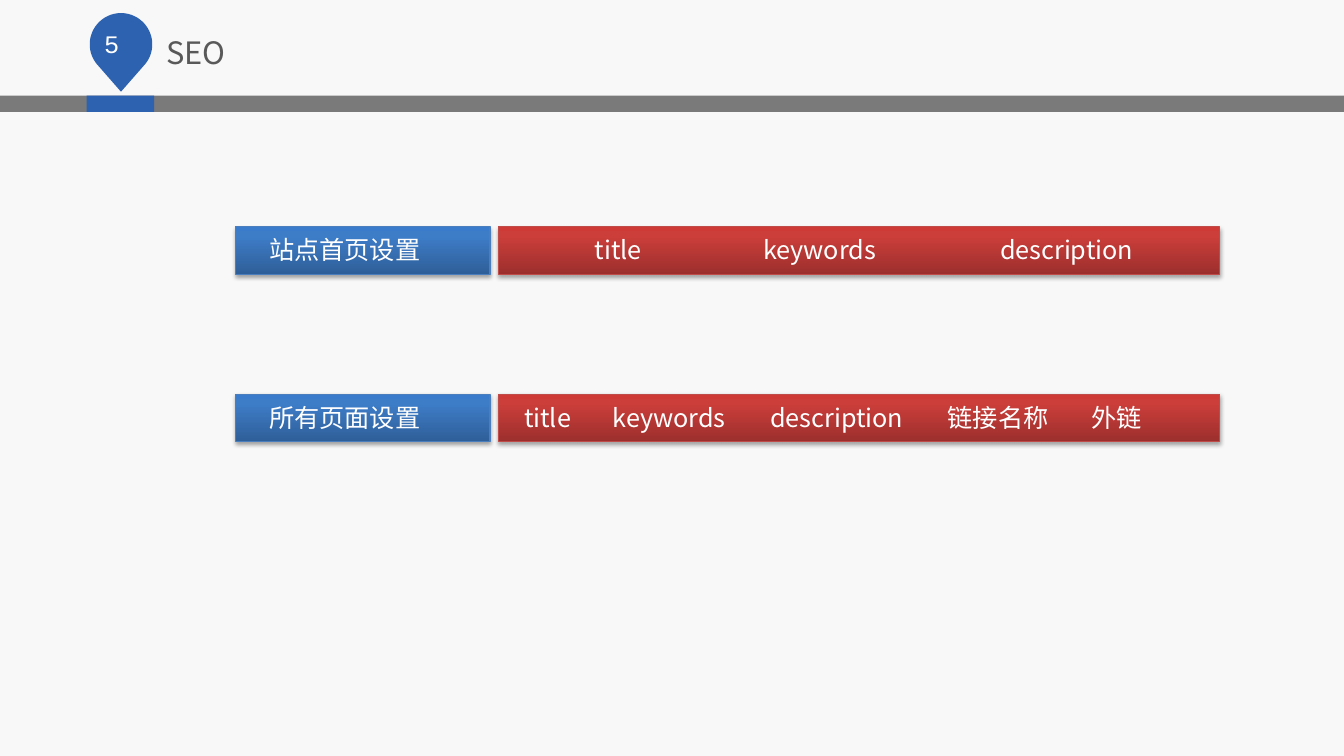
import math
from dataclasses import dataclass

from lxml import etree
from pptx import Presentation
from pptx.dml.color import RGBColor
from pptx.enum.shapes import MSO_SHAPE
from pptx.enum.text import MSO_AUTO_SIZE, PP_ALIGN
from pptx.oxml.ns import qn
from pptx.util import Inches, Pt

RECT = MSO_SHAPE.RECTANGLE
CENTER = PP_ALIGN.CENTER
FIT_SHAPE = MSO_AUTO_SIZE.SHAPE_TO_FIT_TEXT

# Content: each row has a top, a label and its settings as (text, left, width)
NUMBER = "5"
TITLE = "SEO"
ROWS = [
    (2.25, "站点首页设置",
     [("title", 5.8, 0.67), ("keywords", 7.47, 1.34), ("description", 9.82, 1.55)]),
    (3.91, "所有页面设置",
     [("title", 5.1, 0.67), ("keywords", 5.98, 1.34), ("description", 7.54, 1.55),
      ("链接名称", 9.3, 1.21), ("外链", 10.73, 0.71)]),
]


@dataclass(frozen=True)
class Theme:
    background: str = "F8F8F8"
    band: str = "7A7A7A"
    accent: str = "2D62B0"
    title: str = "595959"
    light: str = "FFFFFF"
    shadow: str = "000000"
    blue: tuple = ((0, "2F5F99"), (80, "3D7CC7"), (100, "3A7CCB"))
    blue_line: str = "4B7EBC"
    red: tuple = ((0, "9C2F2D"), (80, "CB3E3A"), (100, "CE3B37"))
    red_line: str = "BF4C48"
    font: str = "Noto Sans CJK SC"
    number_font: str = "Courier New"
    title_size: int = 22
    text_size: int = 18


THEME = Theme()
SLIDE_W, SLIDE_H = 13.33, 7.5
BAND_TOP, BAND_H = 0.95, 0.16
PIN_X, PIN_Y, PIN_R, PIN_TIP = 1.2, 0.44, 0.31, 0.91
LABEL_BAR, SETTINGS_BAR, BAR_H = (2.34, 2.52), (4.94, 7.16), 0.47
LABEL_TEXT = (2.57, 1.72)
TEXT_H = 0.4


def paint(shape, color):
    shape.shadow.inherit = False
    shape.fill.solid()
    shape.fill.fore_color.rgb = RGBColor.from_string(color)
    shape.line.fill.background()


def add_text(shapes, text, box, color, size, font=THEME.font, wrap=False):
    textbox = shapes.add_textbox(*map(Inches, box))
    frame = textbox.text_frame
    frame.text = text
    frame.word_wrap = wrap
    run = frame.paragraphs[0].runs[0]
    run.font.size = Pt(size)
    run.font.name = font
    run.font.color.rgb = RGBColor.from_string(color)
    east_asian = etree.SubElement(run.font._element, qn("a:ea"))
    east_asian.set("typeface", font)
    return frame


def add_color(parent, color):
    node = etree.SubElement(parent, qn("a:srgbClr"))
    node.set("val", color)
    return node


def add_bar(shapes, span, top, stops, line_color):
    left, width = span
    bar = shapes.add_shape(RECT, *map(Inches, (left, top, width, BAR_H)))
    bar.line.color.rgb = RGBColor.from_string(line_color)
    bar.line.width = Pt(0.75)
    properties = bar._element.spPr

    # Upward gradient
    gradient = etree.Element(qn("a:gradFill"), rotWithShape="1")
    stop_list = etree.SubElement(gradient, qn("a:gsLst"))
    for percent, color in stops:
        stop = etree.SubElement(stop_list, qn("a:gs"), pos=str(percent * 1000))
        add_color(stop, color)
    etree.SubElement(gradient, qn("a:lin"), ang=str(270 * 60000), scaled="0")
    properties.find(qn("a:prstGeom")).addnext(gradient)

    # Soft shadow below
    bar.shadow.inherit = False
    shadow = etree.SubElement(
        properties.find(qn("a:effectLst")), qn("a:outerShdw"),
        blurRad=str(Pt(3.1)), dist=str(Pt(1.8)), dir=str(90 * 60000), rotWithShape="0")
    etree.SubElement(add_color(shadow, THEME.shadow), qn("a:alpha"), val="35000")


def add_header(shapes):
    # Band and its marker
    for left, width, color in ((0, SLIDE_W, THEME.band), (0.86, 0.67, THEME.accent)):
        band = shapes.add_shape(RECT, *map(Inches, (left, BAND_TOP, width, BAND_H)))
        paint(band, color)

    # Pin: three quarters of a circle closed by a tip
    arc = [(Inches(PIN_X + PIN_R * math.cos(math.radians(angle))),
            Inches(PIN_Y + PIN_R * math.sin(math.radians(angle))))
           for angle in range(45, -226, -5)]
    builder = shapes.build_freeform(Inches(PIN_X), Inches(PIN_TIP))
    builder.add_line_segments(arc, close=True)
    paint(builder.convert_to_shape(), THEME.accent)

    # Number, set a little left of centre, and title
    number = add_text(shapes, NUMBER, (0.75, 0.23, 0.87, TEXT_H), THEME.light,
                      THEME.text_size, THEME.number_font, wrap=True)
    number.paragraphs[0].alignment = CENTER
    number.margin_right = Inches(0.25)
    title = add_text(shapes, TITLE, (1.55, 0.29, 5.83, 0.47), THEME.title,
                     THEME.title_size, wrap=True)
    title.auto_size = FIT_SHAPE


def add_row(shapes, top, label, settings):
    row = shapes.add_group_shape().shapes
    add_bar(row, LABEL_BAR, top, THEME.blue, THEME.blue_line)
    add_bar(row, SETTINGS_BAR, top, THEME.red, THEME.red_line)
    for text, left, width in [(label, *LABEL_TEXT), *settings]:
        frame = add_text(row, text, (left, top + 0.03, width, TEXT_H),
                         THEME.light, THEME.text_size)
        frame.auto_size = FIT_SHAPE


def main():
    deck = Presentation()
    deck.slide_width, deck.slide_height = Inches(SLIDE_W), Inches(SLIDE_H)
    slide = deck.slides.add_slide(deck.slide_layouts[6])
    slide.background.fill.solid()
    slide.background.fill.fore_color.rgb = RGBColor.from_string(THEME.background)
    add_header(slide.shapes)
    for top, label, settings in ROWS:
        add_row(slide.shapes, top, label, settings)
    deck.save("out.pptx")


if __name__ == "__main__":
    main()
